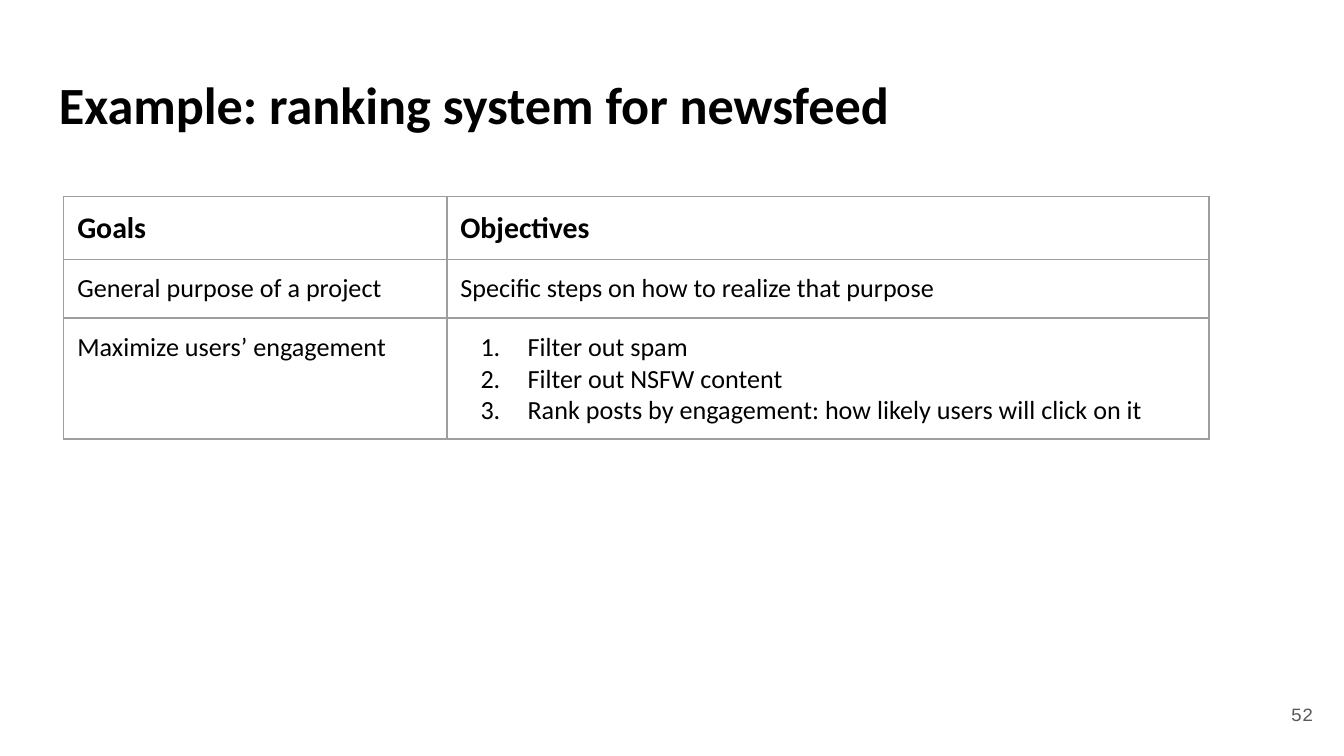
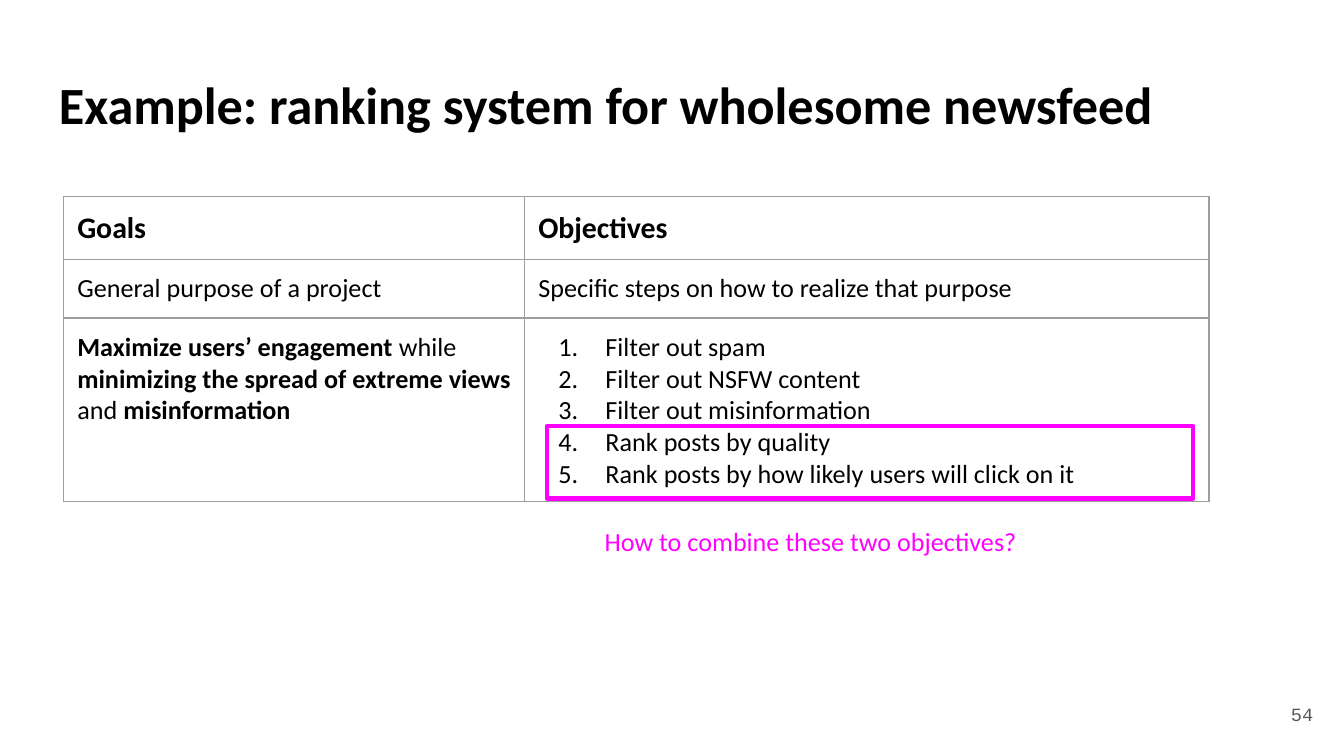
from dataclasses import dataclass
from typing import NamedTuple

from lxml.etree import SubElement
from pptx import Presentation
from pptx.dml.color import RGBColor
from pptx.enum.shapes import MSO_SHAPE
from pptx.enum.text import MSO_ANCHOR, MSO_AUTO_SIZE, PP_ALIGN
from pptx.oxml.ns import qn
from pptx.util import Emu, Pt

EMU_PER_PX = 4572


class Box(NamedTuple):
    left: int
    top: int
    width: int
    height: int

    def emu(self) -> tuple:
        return tuple(px(value) for value in self)


class TextStyle(NamedTuple):
    size: int
    color: str
    font: str = "Calibri"
    bold: bool = False


class Span(NamedTuple):
    text: str
    bold: bool = False


@dataclass(frozen=True)
class Theme:
    title: TextStyle = TextStyle(28, "000000", bold=True)
    header: TextStyle = TextStyle(16, "000000", bold=True)
    body: TextStyle = TextStyle(14, "000000")
    accent: TextStyle = TextStyle(14, "FF00FF")
    page_number: TextStyle = TextStyle(10, "595959", font="Courier New")
    background: str = "FFFFFF"
    border: str = "9E9E9E"
    border_width: float = 0.75
    highlight_width: float = 2.25
    inset: int = 20
    list_margin: int = 100
    list_indent: int = -70


@dataclass(frozen=True)
class RankingSlide:
    title: str
    number: int
    goal_width: int
    goal: tuple[Span, ...]
    objectives: tuple[str, ...]
    question: str = ""


THEME = Theme()
SLIDE_WIDTH, SLIDE_HEIGHT = 2000, 1125
TITLE_BOX = Box(68, 88, 1864, 126)
NUMBER_BOX = Box(1854, 1020, 120, 86)
TABLE_BOX = Box(95, 293, 1704, 252)
HIGHLIGHT_BOX = Box(814, 634, 962, 108)
QUESTION_BOX = Box(880, 762, 738, 88)
HEADINGS = ("Goals", "Objectives")
DEFINITIONS = (
    "General purpose of a project",
    "Specific steps on how to realize that purpose",
)

SLIDES = (
    RankingSlide(
        title="Example: ranking system for newsfeed",
        number=52,
        goal_width=570,
        goal=(Span("Maximize users’ engagement"),),
        objectives=(
            "Filter out spam",
            "Filter out NSFW content",
            "Rank posts by engagement: how likely users will click on it",
        ),
    ),
    RankingSlide(
        title="Example: ranking system for wholesome newsfeed",
        number=54,
        goal_width=686,
        goal=(
            Span("Maximize users’ engagement", True),
            Span(" while "),
            Span("minimizing the spread of extreme views", True),
            Span(" and "),
            Span("misinformation", True),
        ),
        objectives=(
            "Filter out spam",
            "Filter out NSFW content",
            "Filter out misinformation",
            "Rank posts by quality",
            "Rank posts by how likely users will click on it",
        ),
        question="How to combine these two objectives?",
    ),
)


def px(value: int) -> Emu:
    return Emu(value * EMU_PER_PX)


def style_runs(text_frame, style: TextStyle) -> None:
    for paragraph in text_frame.paragraphs:
        for run in paragraph.runs:
            run.font.name = style.font
            run.font.size = Pt(style.size)
            run.font.bold = style.bold
            run.font.color.rgb = RGBColor.from_string(style.color)


def set_insets(target) -> None:
    for side in ("left", "right", "top", "bottom"):
        setattr(target, f"margin_{side}", px(THEME.inset))


def add_text(slide, box: Box, text: str, style: TextStyle):
    text_frame = slide.shapes.add_textbox(*box.emu()).text_frame
    text_frame.word_wrap = True
    set_insets(text_frame)
    text_frame.text = text
    style_runs(text_frame, style)
    return text_frame


def number_paragraph(paragraph) -> None:
    properties = paragraph._p.get_or_add_pPr()
    properties.set("marL", str(px(THEME.list_margin)))
    properties.set("indent", str(px(THEME.list_indent)))
    color = SubElement(properties, qn("a:buClr"))
    SubElement(color, qn("a:srgbClr"), val=THEME.body.color)
    SubElement(properties, qn("a:buFont"), typeface=THEME.body.font)
    SubElement(properties, qn("a:buAutoNum"), type="arabicPeriod")


def format_cell(cell) -> None:
    set_insets(cell)
    cell.vertical_anchor = MSO_ANCHOR.TOP
    properties = cell._tc.get_or_add_tcPr()
    for side in ("lnL", "lnR", "lnT", "lnB"):
        line = SubElement(properties, qn(f"a:{side}"), w=str(Pt(THEME.border_width)))
        fill = SubElement(line, qn("a:solidFill"))
        SubElement(fill, qn("a:srgbClr"), val=THEME.border)
    cell.fill.background()


def fill_goal(cell, spans: tuple[Span, ...]) -> None:
    paragraph = cell.text_frame.paragraphs[0]
    for span in spans:
        paragraph.add_run().text = span.text
    style_runs(cell.text_frame, THEME.body)
    for run, span in zip(paragraph.runs, spans):
        run.font.bold = span.bold


def fill_objectives(cell, objectives: tuple[str, ...]) -> None:
    cell.text_frame.text = "\n".join(objectives)
    for paragraph in cell.text_frame.paragraphs:
        number_paragraph(paragraph)
    style_runs(cell.text_frame, THEME.body)


def add_goal_table(slide, content: RankingSlide) -> None:
    table = slide.shapes.add_table(3, 2, *TABLE_BOX.emu()).table
    table.first_row = False
    table.horz_banding = False
    table.columns[0].width = px(content.goal_width)
    table.columns[1].width = px(TABLE_BOX.width - content.goal_width)
    for cell in table.iter_cells():
        format_cell(cell)
    text_rows = ((HEADINGS, THEME.header), (DEFINITIONS, THEME.body))
    for row, (texts, style) in enumerate(text_rows):
        for column, text in enumerate(texts):
            text_frame = table.cell(row, column).text_frame
            text_frame.text = text
            style_runs(text_frame, style)
    fill_goal(table.cell(2, 0), content.goal)
    fill_objectives(table.cell(2, 1), content.objectives)


def add_question(slide, question: str) -> None:
    highlight = slide.shapes.add_shape(MSO_SHAPE.RECTANGLE, *HIGHLIGHT_BOX.emu())
    highlight.shadow.inherit = False
    highlight.fill.background()
    highlight.line.color.rgb = RGBColor.from_string(THEME.accent.color)
    highlight.line.width = Pt(THEME.highlight_width)
    text_frame = add_text(slide, QUESTION_BOX, question, THEME.accent)
    text_frame.auto_size = MSO_AUTO_SIZE.SHAPE_TO_FIT_TEXT


def add_ranking_slide(presentation, content: RankingSlide) -> None:
    slide = presentation.slides.add_slide(presentation.slide_layouts[6])
    slide.background.fill.solid()
    slide.background.fill.fore_color.rgb = RGBColor.from_string(THEME.background)
    add_text(slide, TITLE_BOX, content.title, THEME.title)
    number_frame = add_text(slide, NUMBER_BOX, str(content.number), THEME.page_number)
    number_frame.vertical_anchor = MSO_ANCHOR.MIDDLE
    number_frame.paragraphs[0].alignment = PP_ALIGN.RIGHT
    add_goal_table(slide, content)
    if content.question:
        add_question(slide, content.question)


def main() -> None:
    presentation = Presentation()
    presentation.slide_width = px(SLIDE_WIDTH)
    presentation.slide_height = px(SLIDE_HEIGHT)
    for content in SLIDES:
        add_ranking_slide(presentation, content)
    presentation.save("out.pptx")


if __name__ == "__main__":
    main()
